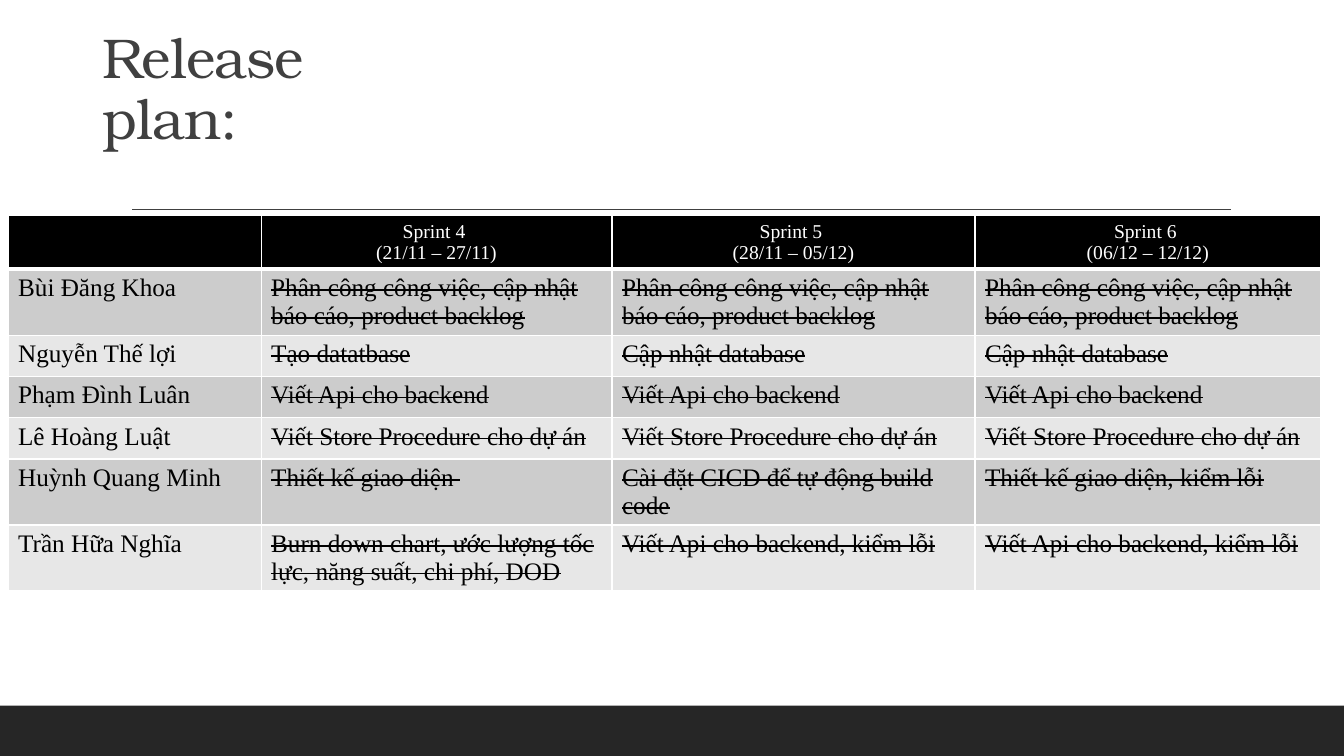
from dataclasses import dataclass

from lxml import etree
from pptx import Presentation
from pptx.dml.color import RGBColor
from pptx.enum.shapes import MSO_CONNECTOR, MSO_SHAPE
from pptx.enum.text import MSO_ANCHOR, MSO_AUTO_SIZE, PP_ALIGN
from pptx.oxml.ns import qn
from pptx.util import Inches, Pt

LEFT, CENTER = PP_ALIGN.LEFT, PP_ALIGN.CENTER
BOTTOM = MSO_ANCHOR.BOTTOM
NO_AUTOFIT = MSO_AUTO_SIZE.NONE
RECTANGLE = MSO_SHAPE.RECTANGLE
STRAIGHT = MSO_CONNECTOR.STRAIGHT

TITLE_FONT, TABLE_FONT = "TeX Gyre Bonum", "Times New Roman"
GREY, BAR, WHITE, BLACK = "404040", "262626", "FFFFFF", "000000"
BANDS = ("CCCCCC", "E7E7E7")
COLUMN_WIDTHS = (2.51, 3.48, 3.6, 3.43)
ROW_HEIGHT = 0.41


@dataclass(frozen=True)
class Sprint:
    name: str
    dates: str


@dataclass(frozen=True)
class Member:
    name: str
    tasks: tuple[str, str, str]


@dataclass(frozen=True)
class CellStyle:
    fill: str
    color: str
    size: int
    align: PP_ALIGN = LEFT
    bottom_border: int = 1
    strike: bool = False


SPRINTS = (
    Sprint("Sprint 4 ", "(21/11 – 27/11)"),
    Sprint("Sprint 5 ", "(28/11 – 05/12)"),
    Sprint("Sprint 6 ", "(06/12 – 12/12)"),
)
REPORTING = "Phân công công việc, cập nhật báo cáo, product backlog"
UPDATE_DATABASE = "Cập nhật database"
BACKEND = "Viết Api cho backend"
BACKEND_FIXES = "Viết Api cho backend, kiểm lỗi"
PROCEDURES = "Viết Store Procedure cho dự án"
MEMBERS = (
    Member("Bùi Đăng Khoa", (REPORTING,) * 3),
    Member("Nguyễn Thế lợi", ("Tạo datatbase", UPDATE_DATABASE, UPDATE_DATABASE)),
    Member("Phạm Đình Luân", (BACKEND,) * 3),
    Member("Lê Hoàng Luật", (PROCEDURES,) * 3),
    Member("Huỳnh Quang Minh", (
        "Thiết kế giao diện ",
        "Cài đặt CICD để tự động build code",
        "Thiết kế giao diện, kiểm lỗi",
    )),
    Member("Trần Hữa Nghĩa", (
        "Burn down chart, ước lượng tốc lực, năng suất, chi phí, DOD",
        BACKEND_FIXES,
        BACKEND_FIXES,
    )),
)


def rgb(value: str) -> RGBColor:
    return RGBColor.from_string(value)


def add_span(para, text: str, font: str, size: int, color: str):
    span = para.add_run()
    span.text = text
    span.font.name = font
    span.font.size = Pt(size)
    span.font.color.rgb = rgb(color)
    return span


def add_border(cell, side: str, width: int) -> None:
    properties = cell._tc.get_or_add_tcPr()
    border = etree.SubElement(properties, qn(f"a:ln{side}"), w=str(Pt(width)))
    fill = etree.SubElement(border, qn("a:solidFill"))
    etree.SubElement(fill, qn("a:srgbClr"), val=WHITE)


def fill_cell(cell, lines: tuple[str, ...], style: CellStyle) -> None:
    for side in "LRT":
        add_border(cell, side, 1)
    add_border(cell, "B", style.bottom_border)
    cell.fill.solid()
    cell.fill.fore_color.rgb = rgb(style.fill)
    frame = cell.text_frame
    for index, line in enumerate(lines):
        para = frame.add_paragraph() if index else frame.paragraphs[0]
        para.alignment = style.align
        span = add_span(para, line, TABLE_FONT, style.size, style.color)
        if style.strike:
            span.font._element.set("strike", "sngStrike")


def add_background(page) -> None:
    bar = page.shapes.add_shape(RECTANGLE, 0, Inches(7), Inches(13.33), Inches(0.5))
    bar.shadow.inherit = False
    bar.fill.solid()
    bar.fill.fore_color.rgb = rgb(BAR)
    bar.line.fill.background()
    rule = page.shapes.add_connector(
        STRAIGHT, Inches(1.31), Inches(2.08), Inches(12.21), Inches(2.08))
    rule.line.color.rgb = rgb(GREY)
    rule.line.width = Pt(1)
    etree.SubElement(rule._element.spPr, qn("a:effectLst"))


def format_title(page) -> None:
    title = page.shapes.title
    title.left, title.top = Inches(0.92), Inches(0.33)
    title.width, title.height = Inches(3.48), Inches(1.83)
    frame = title.text_frame
    frame.word_wrap = True
    frame.auto_size = NO_AUTOFIT
    frame.vertical_anchor = BOTTOM
    frame.margin_bottom = Inches(0.66)
    para = frame.paragraphs[0]
    para.alignment = LEFT
    para.line_spacing = 0.9
    span = add_span(para, "Release plan:", TITLE_FONT, 40, GREY)
    span.font._element.set("spc", "-50")


def add_plan(page) -> None:
    row_count = len(MEMBERS) + 1
    table = page.shapes.add_table(
        row_count, len(COLUMN_WIDTHS), Inches(0.08), Inches(2.14),
        Inches(sum(COLUMN_WIDTHS)), Inches(ROW_HEIGHT * row_count)).table
    for column, width in zip(table.columns, COLUMN_WIDTHS):
        column.width = Inches(width)
    header = CellStyle(BLACK, WHITE, 14, CENTER, bottom_border=3)
    fill_cell(table.cell(0, 0), (), header)
    for column, sprint in enumerate(SPRINTS, 1):
        fill_cell(table.cell(0, column), (sprint.name, sprint.dates), header)
    for row, member in enumerate(MEMBERS, 1):
        band = BANDS[(row - 1) % 2]
        fill_cell(table.cell(row, 0), (member.name,), CellStyle(band, BLACK, 18))
        done = CellStyle(band, BLACK, 18, strike=True)
        for column, task in enumerate(member.tasks, 1):
            fill_cell(table.cell(row, column), (task,), done)


def main() -> None:
    deck = Presentation()
    deck.slide_width, deck.slide_height = Inches(13.33), Inches(7.5)
    page = deck.slides.add_slide(deck.slide_layouts[5])
    add_background(page)
    format_title(page)
    add_plan(page)
    deck.save("out.pptx")


if __name__ == "__main__":
    main()
